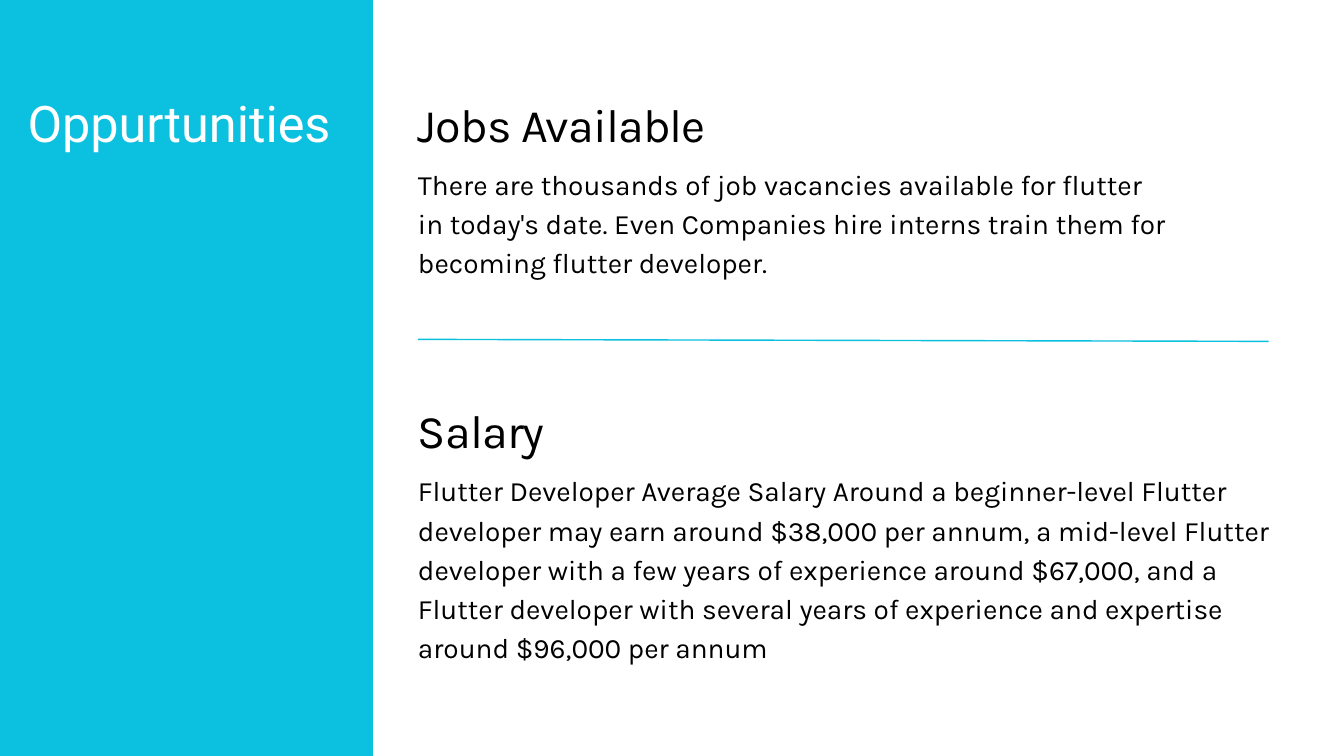
from dataclasses import dataclass

from lxml import etree
from pptx import Presentation
from pptx.dml.color import RGBColor
from pptx.enum.shapes import MSO_CONNECTOR, MSO_SHAPE
from pptx.enum.text import MSO_AUTO_SIZE
from pptx.oxml.ns import qn
from pptx.util import Inches, Pt

RECTANGLE = MSO_SHAPE.RECTANGLE
STRAIGHT = MSO_CONNECTOR.STRAIGHT
GROW_TO_TEXT = MSO_AUTO_SIZE.SHAPE_TO_FIT_TEXT

COLUMNS, ROWS = 20, 11.25
CELL = Inches(1)


@dataclass(frozen=True)
class TextStyle:
    font: str
    size: float
    line_height: float
    color: RGBColor
    tracking: float = 0


@dataclass(frozen=True)
class Theme:
    accent: RGBColor = RGBColor(0x0C, 0xC0, 0xDF)
    rule_width: float = 1.5
    title: TextStyle = TextStyle("Roboto", 54, 59.4, RGBColor(255, 255, 255))
    heading: TextStyle = TextStyle("Karla", 50, 65, RGBColor(0, 0, 0), -1)
    body: TextStyle = TextStyle("Karla", 30, 42, RGBColor(0, 0, 0))


class SlideBuilder:
    def __init__(self, slide, theme):
        self.slide = slide
        self.theme = theme

    def cells(self, *lengths):
        return [round(length * CELL) for length in lengths]

    def panel(self, left, top, width, height):
        shape = self.slide.shapes.add_shape(
            RECTANGLE, *self.cells(left, top, width, height))
        shape.shadow.inherit = False
        shape.fill.solid()
        shape.fill.fore_color.rgb = self.theme.accent
        shape.line.fill.background()

    def text(self, text, style, left, top, width, height):
        box = self.slide.shapes.add_textbox(
            *self.cells(left, top, width, height))
        frame = box.text_frame
        frame.margin_left = frame.margin_right = 0
        frame.margin_top = frame.margin_bottom = 0
        frame.word_wrap = True
        frame.auto_size = GROW_TO_TEXT
        frame.text = text
        paragraph = frame.paragraphs[0]
        paragraph.line_spacing = Pt(style.line_height)
        run = paragraph.runs[0]
        run.font.name = style.font
        run.font.size = Pt(style.size)
        run.font.color.rgb = style.color
        if style.tracking:
            run.font._element.set("spc", str(round(style.tracking * 100)))

    def rule(self, start_x, start_y, end_x, end_y):
        line = self.slide.shapes.add_connector(
            STRAIGHT, *self.cells(start_x, start_y, end_x, end_y))
        line.line.color.rgb = self.theme.accent
        line.line.width = Pt(self.theme.rule_width)
        etree.SubElement(line._element.spPr, qn("a:effectLst"))

    def section(self, heading, body, left, top, width, body_height):
        self.text(heading, self.theme.heading, left, top, width, 0.87)
        self.text(body, self.theme.body, left, top + 1.06, width, body_height)


def main():
    presentation = Presentation()
    presentation.slide_width = round(COLUMNS * CELL)
    presentation.slide_height = round(ROWS * CELL)
    slide = presentation.slides.add_slide(presentation.slide_layouts[6])
    theme = Theme()
    builder = SlideBuilder(slide, theme)
    content_left = 6.22

    builder.panel(-0.33, -0.27, 5.88, 11.79)
    builder.text("Oppurtunities", theme.title, 0.41, 1.45, 4.91, 0.85)
    builder.section(
        "Salary",
        "Flutter Developer Average Salary Around a beginner-level Flutter "
        "developer may earn around $38,000 per annum, a mid-level Flutter "
        "developer with a few years of experience around $67,000, and a "
        "Flutter developer with several years of experience and expertise "
        "around $96,000 per annum",
        content_left, 5.91, 13.19, 2.88)
    builder.rule(content_left, 5.05, 18.88, 5.08)
    builder.section(
        "Jobs Available",
        "There are thousands of job vacancies available for flutter "
        "in today's date. Even Companies hire interns train them for "
        "becoming flutter developer.",
        content_left, 1.35, 11.18, 1.71)

    presentation.save("out.pptx")


if __name__ == "__main__":
    main()
